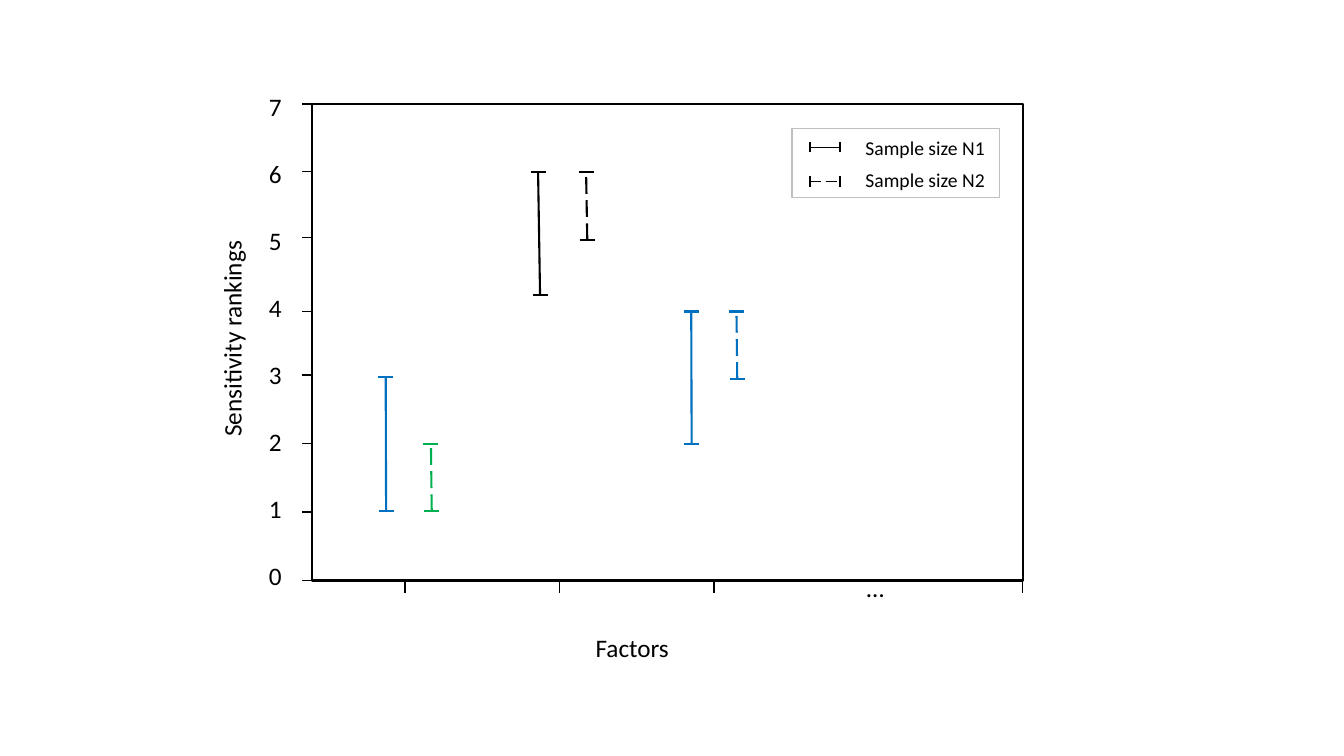
import pptx
import pptx.util
import pptx.dml.color
import pptx.enum.dml
import pptx.enum.shapes
import pptx.enum.text
from lxml import etree

Cm, Pt = pptx.util.Cm, pptx.util.Pt
RGBColor = pptx.dml.color.RGBColor
BLACK = RGBColor(0x00, 0x00, 0x00)
BLUE = RGBColor(0x00, 0x70, 0xC0)
GREEN = RGBColor(0x00, 0xB0, 0x50)
GREY = RGBColor(0xBF, 0xBF, 0xBF)
DASH = pptx.enum.dml.MSO_LINE.LONG_DASH
DRAW = "{http://schemas.openxmlformats.org/drawingml/2006/main}"

LEFT, TOP, WIDE, HIGH = 7.87, 2.62, 17.91, 12.01
BASE = TOP + HIGH
CAP = 0.19


class Plot:
    """Draws on one slide; all lengths are in centimetres."""

    font = "Calibri"

    def __init__(self, slide):
        self.shapes = slide.shapes

    def frame(self, x, y, w, h, color, width):
        kind = pptx.enum.shapes.MSO_SHAPE.RECTANGLE
        box = self.shapes.add_shape(kind, Cm(x), Cm(y), Cm(w), Cm(h))
        box.shadow.inherit = False
        box.fill.background()
        box.line.color.rgb = color
        box.line.width = Pt(width)

    def line(self, x1, y1, x2, y2, color=BLACK, width=1.0, dash=None):
        kind = pptx.enum.shapes.MSO_CONNECTOR.STRAIGHT
        rule = self.shapes.add_connector(kind, Cm(x1), Cm(y1), Cm(x2), Cm(y2))
        rule.line.color.rgb = color
        rule.line.width = Pt(width)
        if dash:
            rule.line.dash_style = dash
        etree.SubElement(rule.element.spPr, DRAW + "effectLst")

    def text(self, words, x, y, w, h=1.02, size=18, turn=0):
        box = self.shapes.add_textbox(Cm(x), Cm(y), Cm(w), Cm(h))
        box.rotation = turn
        body = box.text_frame
        body.word_wrap = True
        body.auto_size = pptx.enum.text.MSO_AUTO_SIZE.SHAPE_TO_FIT_TEXT
        run = body.paragraphs[0].add_run()
        run.text = words
        run.font.name = self.font
        run.font.size = Pt(size)
        run.font.color.rgb = BLACK

    def range(self, low, high, color, dash=None):
        """Vertical bar from low to high, each an (x, y) pair, with end caps."""
        self.line(*low, *high, color, 1.5, dash)
        for x, y in (high, low):
            self.line(x - CAP, y, x + CAP, y, color, 1.5, dash)

    def key(self, words, y, top, dash=None):
        """Legend row: a capped sample line and its label."""
        x1, x2 = 20.42, 21.18
        self.line(x1, y, x2, y, dash=dash)
        for x in (x1, x2):
            self.line(x, y + 0.13, x, y - 0.13, width=1.5)
        self.text(words, 21.56, top, 3.89, 0.86, 14)


def main():
    deck = pptx.Presentation()
    deck.slide_width, deck.slide_height = Cm(33.87), Cm(19.05)
    plot = Plot(deck.slides.add_slide(deck.slide_layouts[6]))

    plot.frame(LEFT, TOP, WIDE, HIGH, BLACK, 1.5)
    for step in (0, 1, 2, 4):
        x = 10.21 + 3.89 * step
        plot.line(x, BASE, x, BASE + 0.32)
    ticks = (BASE, 12.9, 11.18, 9.45, 7.85, 5.99, 4.32, TOP)
    for rank, y in enumerate(ticks):
        plot.line(LEFT, y, LEFT - 0.25, y)
        plot.text(str(rank), 6.53, 14 - 1.69 * rank, 0.86)

    ranges = (
        ((9.73, 12.88), (9.72, 9.5), BLUE, None),
        ((10.88, 12.88), (10.86, 11.18), GREEN, DASH),
        ((13.61, 7.44), (13.56, 4.34), BLACK, None),
        ((14.8, 6.05), (14.77, 4.34), BLACK, DASH),
        ((17.43, 11.19), (17.42, 7.85), BLUE, None),
        ((18.58, 9.55), (18.56, 7.85), BLUE, DASH),
    )
    for low, high, color, dash in ranges:
        plot.range(low, high, color, dash)

    plot.frame(19.96, 3.23, 5.23, 1.75, GREY, 0.75)
    plot.key("Sample size N1", 3.71, 3.3)
    plot.key("Sample size N2", 4.57, 4.11, DASH)

    plot.text("Factors", 14.76, 15.8, 2.82)
    plot.text("Sensitivity rankings", 3.04, 7.94, 5.6, turn=270)
    plot.text("…", 21.59, 14.3, 1.09)
    deck.save("out.pptx")


if __name__ == "__main__":
    main()
